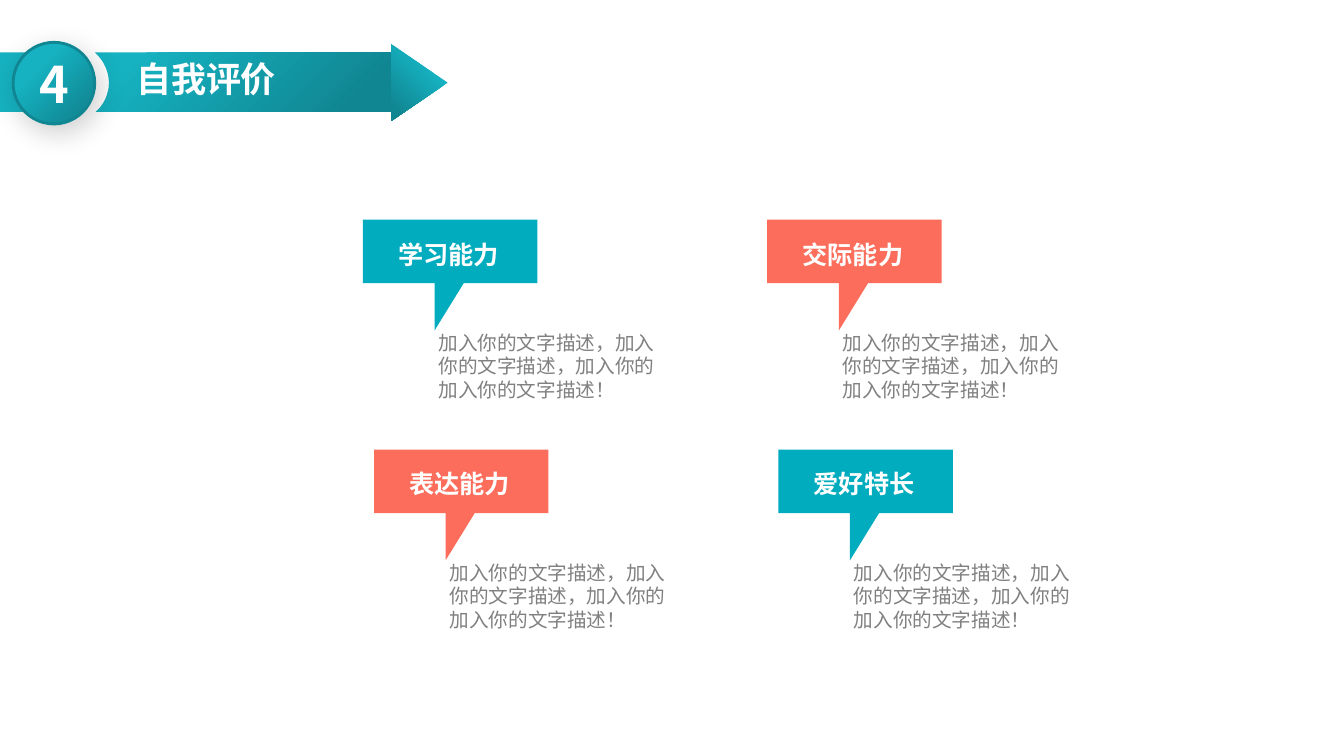
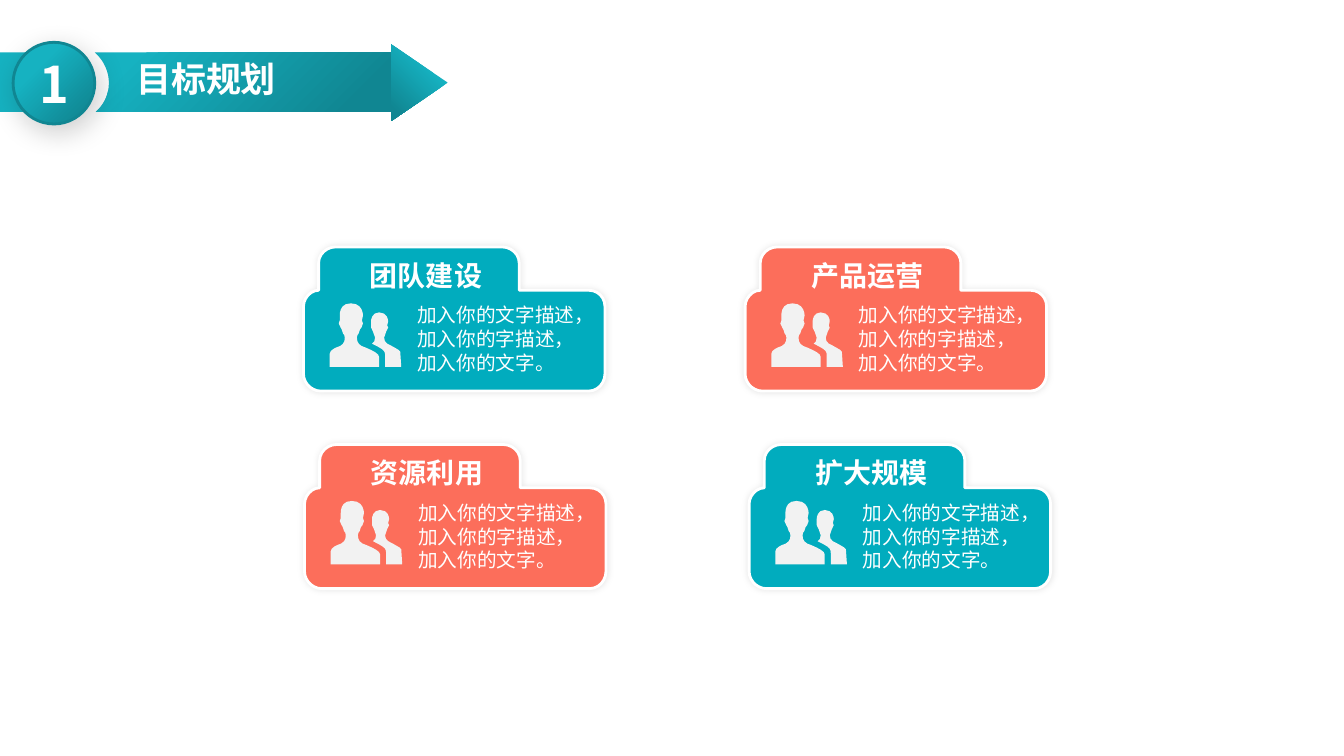
import math

from lxml import etree
from pptx import Presentation
from pptx.dml.color import RGBColor
from pptx.enum import shapes, text
from pptx.oxml import ns
from pptx.util import Inches, Pt

TEAL = RGBColor(0x01, 0xAC, 0xBE)
CORAL = RGBColor(0xFC, 0x6E, 0x5B)
LIGHT = RGBColor(0x16, 0xB2, 0xC1)
DARK = RGBColor(0x10, 0x86, 0x92)
WHITE = RGBColor(0xFF, 0xFF, 0xFF)
PALE = RGBColor(0xF2, 0xF2, 0xF2)
GRAY = RGBColor(0x80, 0x80, 0x80)
FONT = "Noto Sans CJK SC"
STRIDE = 0.04

# Outlines in inches from the top left of their box: a pair is a point,
# six numbers are a curve (two handles and an end).
BAND = [
    [(0.94, 0), (3.89, 0), (3.89, 0.59), (0.95, 0.59),
     (1.03, 0.52, 1.08, 0.42, 1.08, 0.3), (1.08, 0.18, 1.02, 0.07, 0.94, 0)],
    [(0, 0), (0.41, 0), (0.32, 0.07, 0.27, 0.18, 0.27, 0.3),
     (0.27, 0.42, 0.31, 0.52, 0.39, 0.59), (0, 0.59)],
]
BUBBLE = [[(0, 0), (1.73, 0), (1.73, 0.63), (1, 0.63), (0.71, 1.1),
           (0.71, 0.63), (0, 0.63)]]
FOLDER = [[
    (0.32, 0), (1.97, 0), (2.06, 0, 2.14, 0.07, 2.14, 0.16), (2.14, 0.43),
    (2.83, 0.43), (2.92, 0.43, 2.99, 0.5, 2.99, 0.59), (2.99, 1.26),
    (2.99, 1.35, 2.92, 1.43, 2.83, 1.43), (0.17, 1.43),
    (0.08, 1.43, 0, 1.35, 0, 1.26), (0, 0.59),
    (0, 0.51, 0.07, 0.43, 0.15, 0.43), (0.15, 0.16),
    (0.15, 0.07, 0.23, 0, 0.32, 0),
]]
PEOPLE = [
    [(0.71, 0.63), (0.7, 0.48),
     (0.69, 0.46, 0.66, 0.45, 0.61, 0.42), (0.56, 0.4, 0.54, 0.38, 0.54, 0.34),
     (0.56, 0.28), (0.58, 0.24), (0.57, 0.22), (0.58, 0.18),
     (0.58, 0.16, 0.57, 0.09, 0.49, 0.09), (0.42, 0.09, 0.41, 0.16, 0.41, 0.18),
     (0.41, 0.24), (0.43, 0.28), (0.45, 0.34),
     (0.45, 0.37, 0.44, 0.39, 0.42, 0.4), (0.54, 0.46, 0.55, 0.47, 0.55, 0.52),
     (0.55, 0.63)],
    [(0.36, 0.44), (0.29, 0.42, 0.27, 0.39, 0.27, 0.34),
     (0.27, 0.3, 0.29, 0.32, 0.3, 0.26), (0.31, 0.23, 0.32, 0.26, 0.33, 0.2),
     (0.32, 0.17), (0.33, 0.12),
     (0.33, 0.08, 0.31, 0, 0.21, 0), (0.11, 0, 0.1, 0.08, 0.1, 0.12),
     (0.1, 0.17), (0.09, 0.2),
     (0.1, 0.26, 0.12, 0.23, 0.12, 0.26), (0.13, 0.32, 0.15, 0.3, 0.15, 0.34),
     (0.15, 0.39, 0.13, 0.42, 0.06, 0.44), (0.04, 0.45, 0, 0.47, 0, 0.5),
     (0, 0.63), (0.49, 0.63), (0.49, 0.53), (0.49, 0.5, 0.43, 0.47, 0.36, 0.44)],
]


def trace(part):
    """Yield the points of one contour, with its curves cut into short lines."""
    last = part[0]
    yield last
    for seg in part[1:]:
        if len(seg) == 2:
            yield seg
        else:
            knots = [last, seg[:2], seg[2:4], seg[4:]]
            count = math.ceil(math.dist(last, seg[4:]) / STRIDE)
            for i in range(1, count + 1):
                t = i / count
                mix = ((1 - t) ** 3, 3 * t * (1 - t) ** 2,
                       3 * t * t * (1 - t), t ** 3)
                yield tuple(sum(m * k[axis] for m, k in zip(mix, knots))
                            for axis in (0, 1))
        last = seg[-2:]


def draw(slide, parts, x, y, fill=None):
    """Add an outline whose box starts at x, y."""
    pen = None
    for part in parts:
        dots = [(Inches(x + a), Inches(y + b)) for a, b in trace(part)]
        if pen is None:
            pen = slide.shapes.build_freeform(*dots[0], scale=1.0)
        else:
            pen.move_to(*dots[0])
        pen.add_line_segments(dots[1:], close=True)
    shape = pen.convert_to_shape()
    plain(shape)
    if fill is not None:
        shape.fill.solid()
        shape.fill.fore_color.rgb = fill
    return shape


def plain(shape):
    shape.shadow.inherit = False
    shape.line.fill.background()


def blend(shape):
    """Fill with the teal gradient, light at the top left."""
    shape.fill.gradient()
    shape.fill.gradient_angle = 315
    for stop, color, spot in zip(shape.fill.gradient_stops,
                                 (LIGHT, DARK), (0.3, 0.9)):
        stop.color.rgb = color
        stop.position = spot


def edge(shape, color):
    shape.line.color.rgb = color
    shape.line.width = Pt(2)


def shade(shape, color, alpha, blur, dist, angle):
    """Add an outer shadow; alpha in percent, blur and dist in points."""
    box = shape._element.spPr.find(ns.qn("a:effectLst"))
    cast = etree.SubElement(
        box, ns.qn("a:outerShdw"), blurRad=str(Pt(blur)), dist=str(Pt(dist)),
        dir=str(angle * 60000), algn="ctr", rotWithShape="0")
    tint = etree.SubElement(cast, ns.qn("a:srgbClr"), val=color)
    etree.SubElement(tint, ns.qn("a:alpha"), val=str(alpha * 1000))


def write(shape, words, size, color, bold=False, align=text.PP_ALIGN.LEFT,
          pad=(0.1, 0), anchor=text.MSO_ANCHOR.TOP):
    frame = shape.text_frame
    frame.text = words
    frame.word_wrap = True
    frame.auto_size = text.MSO_AUTO_SIZE.NONE
    frame.vertical_anchor = anchor
    frame.margin_left = frame.margin_right = Inches(pad[0])
    frame.margin_top = frame.margin_bottom = Inches(pad[1])
    for para in frame.paragraphs:
        para.alignment = align
        for run in para.runs:
            font = run.font
            font.name, font.size, font.bold = FONT, Pt(size), bold
            font.color.rgb = color
            etree.SubElement(run._r.get_or_add_rPr(), ns.qn("a:ea"),
                             typeface=FONT)


def label(slide, x, y, w, h, words, size, color, **style):
    box = slide.shapes.add_textbox(Inches(x), Inches(y), Inches(w), Inches(h))
    write(box, words, size, color, **style)


def banner(slide, number, words, y=0.52):
    """Place the arrow band with the title and the numbered disc."""
    blend(draw(slide, BAND, 0, y))
    add = slide.shapes.add_shape
    tip = add(shapes.MSO_SHAPE.ISOSCELES_TRIANGLE, Inches(3.78),
              Inches(y + 0.02), Inches(0.76), Inches(0.56))
    tip.rotation = 90
    plain(tip)
    blend(tip)

    title = slide.shapes.title
    title.left, title.top = Inches(1.25), Inches(y)
    title.width, title.height = Inches(2.82), Inches(0.59)
    write(title, words, 25, WHITE, bold=True, pad=(0.1, 0.05))
    slide.shapes._spTree.append(title._element)

    disc = add(shapes.MSO_SHAPE.OVAL, Inches(0.13), Inches(y - 0.1),
               Inches(0.81), Inches(0.81))
    plain(disc)
    blend(disc)
    edge(disc, DARK)
    shade(disc, "0D0D0D", 20, 20, 6, 59)
    write(disc, number, 36, WHITE, bold=True, align=text.PP_ALIGN.CENTER,
          pad=(0, 0), anchor=text.MSO_ANCHOR.MIDDLE)


def callout(slide, x, y, name, color):
    draw(slide, BUBBLE, x, y, color)
    label(slide, x - 0.03, y + 0.19, 1.76, 0.28, name, 18, WHITE,
          bold=True, align=text.PP_ALIGN.CENTER)
    label(slide, x + 0.65, y + 1.1, 2.5, 0.55,
          "加入你的文字描述，加入你的文字描述，加入你的\n加入你的文字描述！",
          14, GRAY)


def card(slide, x, y, name, color):
    back = draw(slide, FOLDER, x, y, color)
    edge(back, WHITE)
    shade(back, "000000", 10, 5, 0, 225)
    draw(slide, PEOPLE, x + 0.26, y + 0.56, PALE)
    label(slide, x + 1.03, y + 0.56, 1.89, 0.6,
          "加入你的文字描述，加入你的字描述，加入你的文字。", 14, WHITE)
    label(slide, x + 0.56, y + 0.11, 1.42, 0.6, name, 20, WHITE, bold=True)


def start(deck, number, words):
    slide = deck.slides.add_slide(deck.slide_layouts[5])
    banner(slide, number, words)
    return slide


def review(deck):
    slide = start(deck, "4", "自我评价")
    names = (("学习能力", "交际能力"), ("表达能力", "爱好特长"))
    for row, pair in enumerate(names):
        for col, name in enumerate(pair):
            callout(slide, 3.6 + 4.01 * col + 0.11 * row, 2.18 + 2.28 * row,
                    name, (TEAL, CORAL)[(row + col) % 2])


def goals(deck):
    slide = start(deck, "1", "目标规划")
    for x, y, name, color in (
            (3.01, 2.45, "团队建设", TEAL), (7.39, 2.45, "产品运营", CORAL),
            (3.02, 4.41, "资源利用", CORAL), (7.43, 4.41, "扩大规模", TEAL)):
        card(slide, x, y, name, color)


def main():
    deck = Presentation()
    deck.slide_width, deck.slide_height = Inches(13.33), Inches(7.5)
    review(deck)
    goals(deck)
    deck.save("out.pptx")


if __name__ == "__main__":
    main()
